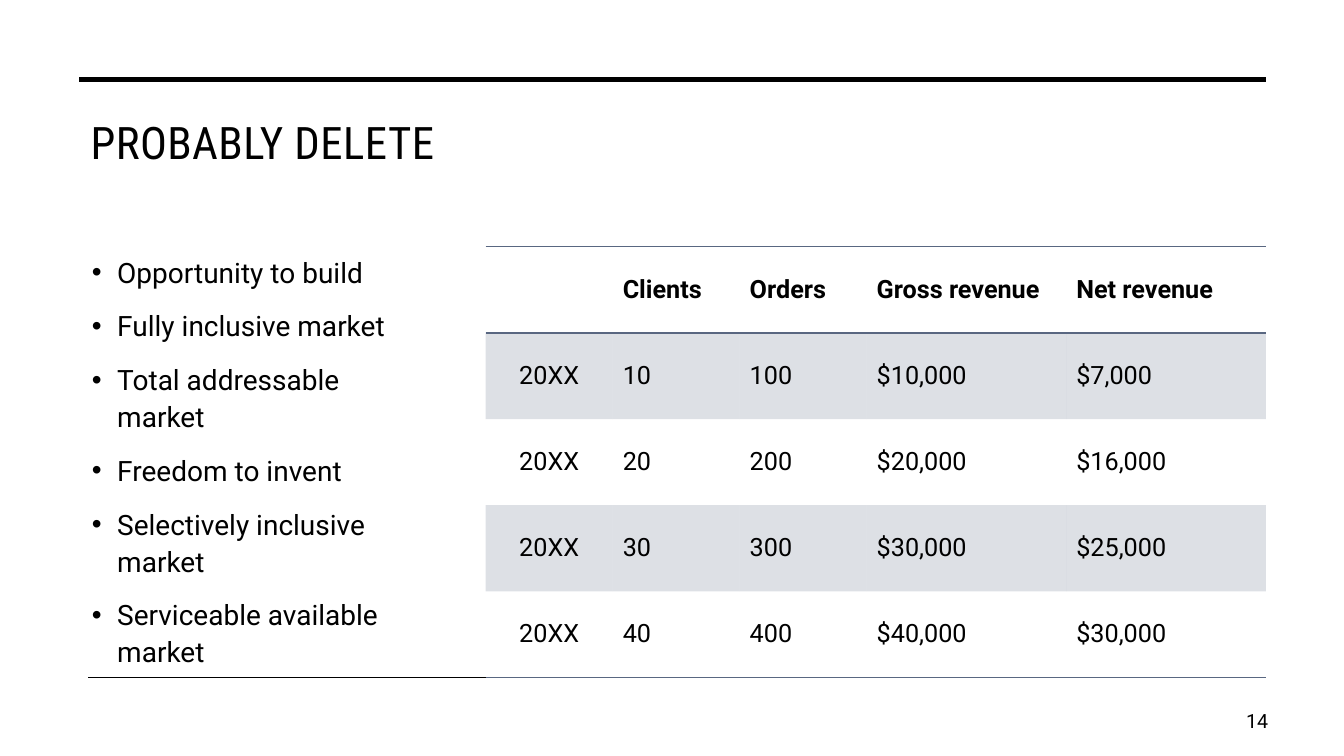
"""Build a slide with a bullet list beside a revenue table."""
from dataclasses import dataclass

from lxml import etree
from pptx import Presentation
from pptx.dml.color import RGBColor
from pptx.enum.shapes import MSO_CONNECTOR
from pptx.enum.text import MSO_ANCHOR, MSO_AUTO_SIZE, PP_ALIGN
from pptx.oxml.ns import qn
from pptx.util import Cm, Pt

STRAIGHT = MSO_CONNECTOR.STRAIGHT
TOP, MIDDLE = MSO_ANCHOR.TOP, MSO_ANCHOR.MIDDLE
LEFT, CENTER, RIGHT = PP_ALIGN.LEFT, PP_ALIGN.CENTER, PP_ALIGN.RIGHT
FIXED = MSO_AUTO_SIZE.NONE
BLACK, SLATE = "000000", "596781"
PLAIN = "{2D5ABB26-0587-4C30-8999-92F81FD0307C}"


@dataclass(frozen=True)
class Box:
    """Place and size in centimetres."""
    left: float
    top: float
    width: float
    height: float


@dataclass(frozen=True)
class Rule:
    """Horizontal line: ends and height in centimetres, weight in points."""
    start: float
    end: float
    top: float
    weight: float


RULES = (
    Rule(2.23, 31.65, 2, 3.5),
    Rule(2.23, 31.65, 17.07, 1),
    Rule(2, 31.9, 2, 3.5),
)
TITLE = Box(2.03, 2.77, 29.79, 3.3)
LIST = Box(2.06, 6.22, 9.09, 10.85)
GRID = Box(12.24, 6.22, 19.66, 10.85)
NUMBER = Box(30.33, 17.65, 1.88, 1.02)
ITEMS = (
    "Opportunity to build",
    "Fully inclusive market",
    "Total addressable market",
    "Freedom to invent",
    "Selectively inclusive market",
    "Serviceable available market",
)
WIDTHS = (3.2, 3.2, 3.2, 5.03, 5.03)
ROWS = (
    ("", "Clients", "Orders", "Gross revenue", "Net revenue"),
    ("20XX", "10", "100", "$10,000", "$7,000"),
    ("20XX", "20", "200", "$20,000", "$16,000"),
    ("20XX", "30", "300", "$30,000", "$25,000"),
    ("20XX", "40", "400", "$40,000", "$30,000"),
)


def color(code: str) -> RGBColor:
    """Turn a hex string into a colour."""
    return RGBColor.from_string(code)


def frame(box: Box) -> tuple:
    """Give the box as four lengths."""
    return Cm(box.left), Cm(box.top), Cm(box.width), Cm(box.height)


def style(para, size: float, face: str = "Roboto", bold: bool = False,
          align=LEFT) -> None:
    """Set the font and alignment of a paragraph."""
    para.alignment = align
    font = para.font
    font.name, font.size, font.bold = face, Pt(size), bold
    font.color.rgb = color(BLACK)


def place(shape, box: Box, anchor=TOP):
    """Move a text shape and return its text frame."""
    shape.left, shape.top, shape.width, shape.height = frame(box)
    text = shape.text_frame
    text.word_wrap = True
    text.auto_size = FIXED
    text.vertical_anchor = anchor
    return text


def draw_rule(slide, rule: Rule) -> None:
    """Draw one horizontal rule without a shadow."""
    line = slide.shapes.add_connector(
        STRAIGHT, Cm(rule.start), Cm(rule.top), Cm(rule.end), Cm(rule.top))
    line.line.color.rgb = color(BLACK)
    line.line.width = Pt(rule.weight)
    etree.SubElement(line.element.spPr, qn("a:effectLst"))


def draw_title(slide) -> None:
    """Fill the title placeholder."""
    text = place(slide.shapes.title, TITLE)
    text.text = "PROBABLY DELETE"
    para = text.paragraphs[0]
    style(para, 32, "Roboto Condensed")
    para.runs[0].font.size = Pt(32)
    para.runs[0].font.language_id = None
    for props in para.runs[0]._r.iter(qn("a:rPr")):
        props.set("spc", "30")


def draw_list(slide) -> None:
    """Fill the body placeholder with bullets."""
    text = place(slide.placeholders[1], LIST)
    text.text = "\n".join(ITEMS)
    for para in text.paragraphs:
        style(para, 20)
        para.line_spacing = 1.1
        para.space_before, para.space_after = Pt(0), Pt(12)
        props = para._p.get_or_add_pPr()
        props.set("marL", str(Cm(0.64)))
        props.set("indent", str(Cm(-0.64)))
        mark = etree.Element(qn("a:buChar"), char="•")
        props.find(qn("a:defRPr")).addprevious(mark)


def edge(cell, spot: int, side: str) -> None:
    """Add a thin border to one side of a cell."""
    line = etree.Element(qn(f"a:{side}"), w=str(Pt(1)))
    fill = etree.SubElement(line, qn("a:solidFill"))
    etree.SubElement(fill, qn("a:srgbClr"), val=SLATE)
    cell._tc.get_or_add_tcPr().insert(spot, line)


def shade(cell) -> None:
    """Fill a cell with a pale tint."""
    cell.fill.solid()
    cell.fill.fore_color.rgb = color(SLATE)
    for tint in cell._tc.tcPr.iter(qn("a:srgbClr")):
        etree.SubElement(tint, qn("a:alpha"), val="20000")


def draw_cell(cell, word: str, row: int, col: int) -> None:
    """Write and format one table cell."""
    cell.text = word
    cell.vertical_anchor = MIDDLE
    style(cell.text_frame.paragraphs[0], 18, bold=row == 0,
          align=LEFT if col else CENTER)
    if row % 2:
        shade(cell)
    else:
        cell.fill.background()
    sides = {0: ("lnT", "lnB"), len(ROWS) - 1: ("lnB",)}.get(row, ())
    for spot, side in enumerate(sides):
        edge(cell, spot, side)


def draw_table(slide) -> None:
    """Draw the revenue table."""
    shape = slide.shapes.add_table(len(ROWS), len(WIDTHS), *frame(GRID))
    table = shape.table
    table.first_row = table.horz_banding = False
    for name in shape.element.iter(qn("a:tableStyleId")):
        name.text = PLAIN
    for column, width in zip(table.columns, WIDTHS):
        column.width = Cm(width)
    for row, words in enumerate(ROWS):
        table.rows[row].height = Cm(GRID.height / len(ROWS))
        for col, word in enumerate(words):
            draw_cell(table.cell(row, col), word, row, col)


def draw_number(slide) -> None:
    """Write the slide number."""
    text = place(slide.shapes.add_textbox(*frame(NUMBER)), NUMBER, MIDDLE)
    text.text = "14"
    style(text.paragraphs[0], 14, align=RIGHT)


def main() -> None:
    """Build and save the slide."""
    deck = Presentation()
    deck.slide_width, deck.slide_height = Cm(33.87), Cm(19.05)
    slide = deck.slides.add_slide(deck.slide_layouts[1])
    for rule in RULES:
        draw_rule(slide, rule)
    draw_title(slide)
    draw_list(slide)
    draw_table(slide)
    draw_number(slide)
    deck.save("out.pptx")


if __name__ == "__main__":
    main()
